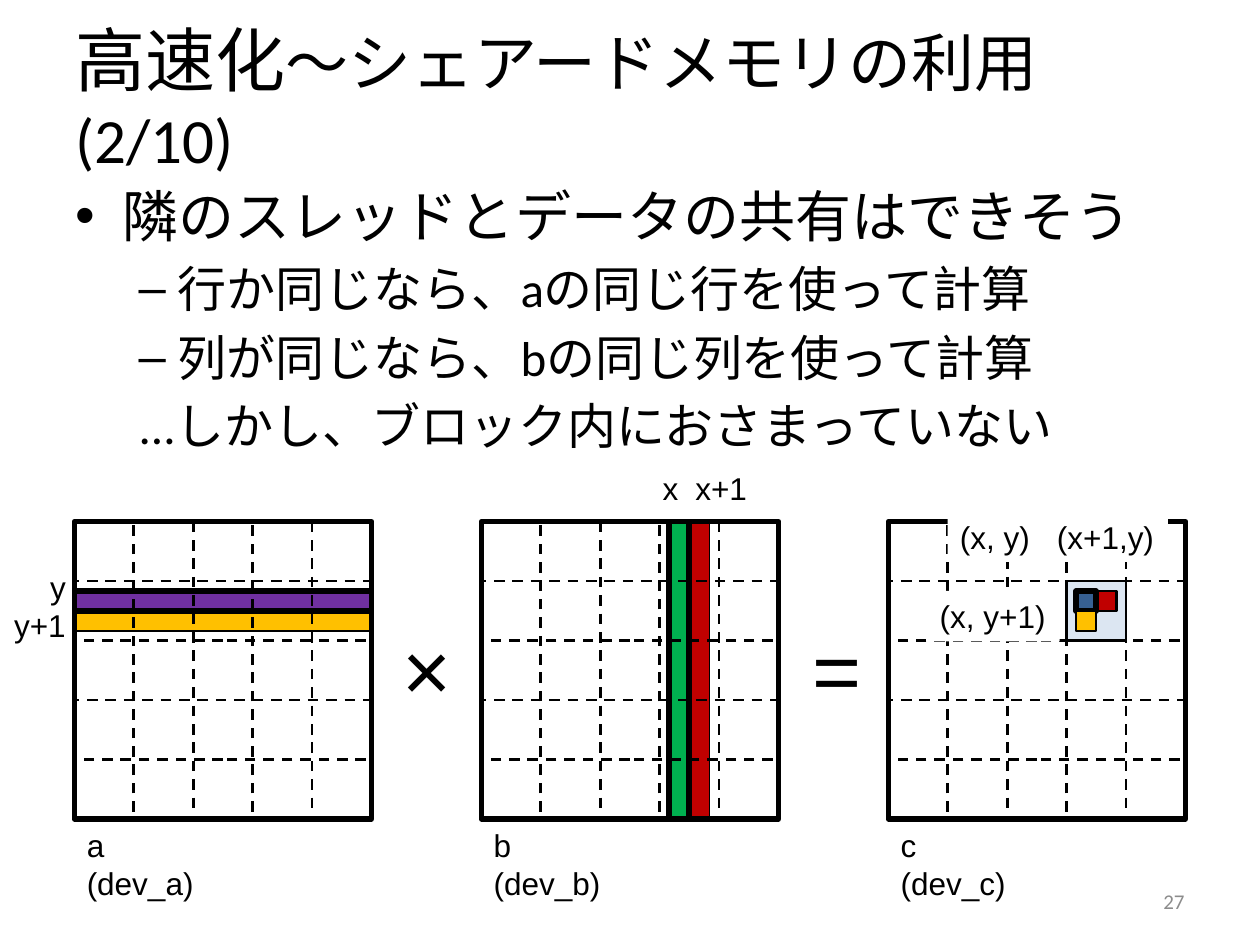
from lxml import etree
from pptx import Presentation
from pptx.dml.color import RGBColor
from pptx.enum.dml import MSO_LINE
from pptx.enum.shapes import MSO_SHAPE
from pptx.enum.text import MSO_ANCHOR, MSO_AUTO_SIZE, PP_ALIGN
from pptx.oxml.ns import qn
from pptx.util import Inches, Pt

BLACK = RGBColor(0x00, 0x00, 0x00)
WHITE = RGBColor(0xFF, 0xFF, 0xFF)
GRAY = RGBColor(0x8C, 0x8C, 0x8C)
RED = RGBColor(0xC0, 0x00, 0x00)
AMBER = RGBColor(0xFF, 0xC0, 0x00)
PURPLE = RGBColor(0x70, 0x30, 0xA0)
GREEN = RGBColor(0x00, 0xB0, 0x50)
BLUE = RGBColor(0x37, 0x60, 0x92)
PALE = RGBColor(0xDC, 0xE6, 0xF2)
LEFT, CENTER, RIGHT = PP_ALIGN.LEFT, PP_ALIGN.CENTER, PP_ALIGN.RIGHT
MIDDLE, TOP = MSO_ANCHOR.MIDDLE, MSO_ANCHOR.TOP
DASH = MSO_LINE.DASH

SIDE = 2.36
CELL = SIDE / 5
THREAD = 0.16
GRID_TOP = 4.14
A_LEFT, B_LEFT, C_LEFT = 0.59, 3.82, 7.05
ROW_Y = 4.69
COL_X = 5.31
BLOCK_X = 8.54

prs = Presentation()
prs.slide_width, prs.slide_height = Inches(10), Inches(7.5)
s = prs.slides.add_slide(prs.slide_layouts[1])


def rect(x, y, w, h, fill=None, weight=1.5, dash=None):
    sp = s.shapes.add_shape(MSO_SHAPE.RECTANGLE, Inches(x), Inches(y), Inches(w), Inches(h))
    sp.shadow.inherit = False
    if fill is None:
        sp.fill.background()
    else:
        sp.fill.solid()
        sp.fill.fore_color.rgb = fill
    sp.line.color.rgb = BLACK
    sp.line.width = Pt(weight)
    if dash:
        sp.line.dash_style = dash


def text(x, y, w, h, words, size=18, font="Arial", color=BLACK, align=LEFT,
         anchor=TOP, fill=None, tab=None):
    """Add a text box; tab is the distance in inches to a left tab stop."""
    sp = s.shapes.add_textbox(Inches(x), Inches(y), Inches(w), Inches(h))
    if fill is not None:
        sp.fill.solid()
        sp.fill.fore_color.rgb = fill
    tf = sp.text_frame
    tf.word_wrap = True
    tf.vertical_anchor = anchor
    for i, line in enumerate(words.split("\n")):
        p = tf.paragraphs[0] if i == 0 else tf.add_paragraph()
        p.alignment = align
        r = p.add_run()
        r.text = line
        r.font.size, r.font.name, r.font.color.rgb = Pt(size), font, color
        if tab:
            stops = etree.SubElement(p._p.get_or_add_pPr(), qn("a:tabLst"))
            etree.SubElement(stops, qn("a:tab"), pos=str(Inches(tab)), algn="l")


# Title
title = s.shapes.title
title.left, title.top, title.width, title.height = Inches(0.5), Inches(0.3), Inches(9), Inches(0.93)
tf = title.text_frame
tf.auto_size = MSO_AUTO_SIZE.NONE
tf.vertical_anchor = MIDDLE
p = tf.paragraphs[0]
p.alignment = LEFT
for words, size in [("高速化", 40), ("～シェアードメモリの利用 (2/10)", 36)]:
    r = p.add_run()
    r.text = words
    r.font.size, r.font.name, r.font.color.rgb = Pt(size), "Calibri", BLACK

# Body
body = s.placeholders[1]
body.left, body.top, body.width, body.height = Inches(0.5), Inches(1.39), Inches(9), Inches(5.51)
tf = body.text_frame
tf.auto_size = MSO_AUTO_SIZE.NONE
points = [
    ("隣のスレッドとデータの共有はできそう", 0, 32),
    ("行か同じなら、aの同じ行を使って計算", 1, 28),
    ("列が同じなら、bの同じ列を使って計算", 1, 28),
    ("...しかし、ブロック内におさまっていない", 1, 28),
]
for i, (words, level, size) in enumerate(points):
    p = tf.paragraphs[0] if i == 0 else tf.add_paragraph()
    p.level = level
    r = p.add_run()
    r.text = words
    r.font.size, r.font.name, r.font.color.rgb = Pt(size), "Calibri", BLACK
etree.SubElement(p._p.get_or_add_pPr(), qn("a:buNone"))

# Rows of a, columns of b and the block of c that they produce
rect(COL_X + THREAD, GRID_TOP, THREAD, SIDE, RED, 0.75)
rect(A_LEFT, ROW_Y + THREAD, SIDE, THREAD, AMBER, 0.75)
rect(A_LEFT, ROW_Y, SIDE, THREAD, PURPLE, 3)
rect(COL_X, GRID_TOP, THREAD, SIDE, GREEN, 3)
rect(C_LEFT + 3 * CELL, GRID_TOP + CELL, CELL, CELL, PALE)

# Matrices, each split into 5 x 5 blocks
for left, name in [(A_LEFT, "a"), (B_LEFT, "b"), (C_LEFT, "c")]:
    rect(left, GRID_TOP, SIDE, SIDE, weight=3)
    for n in (1, 3):
        rect(left, GRID_TOP + n * CELL, SIDE, CELL, dash=DASH)
        rect(left + n * CELL, GRID_TOP, CELL, SIDE, dash=DASH)
    text(left, 6.51, 1.15, 0.4, f"{name} (dev_{name})")

# Threads inside the block
rect(BLOCK_X + THREAD, ROW_Y, THREAD, THREAD, RED)
rect(BLOCK_X, ROW_Y, THREAD, THREAD, BLUE, 3)
rect(BLOCK_X, ROW_Y + THREAD, THREAD, THREAD, AMBER)

# Operators and index labels
text(2.95, 4.85, 0.88, 0.91, "×", size=48, align=CENTER)
text(6.34, 4.85, 0.6, 0.91, "=", size=48, align=CENTER)
text(7.52, 4.06, 1.75, 0.4, "(x, y)\t(x+1,y)", fill=WHITE, tab=0.77)
text(7.36, 4.69, 1.05, 0.4, "(x, y+1)", fill=WHITE)
text(0, 4.46, 0.62, 0.71, "y\ny+1", align=RIGHT)
text(5.16, 3.67, 0.88, 0.4, "x\tx+1", tab=0.26)
text(7.17, 6.95, 2.33, 0.4, "27", size=12, font="Calibri", color=GRAY,
     align=RIGHT, anchor=MIDDLE)

prs.save("out.pptx")
